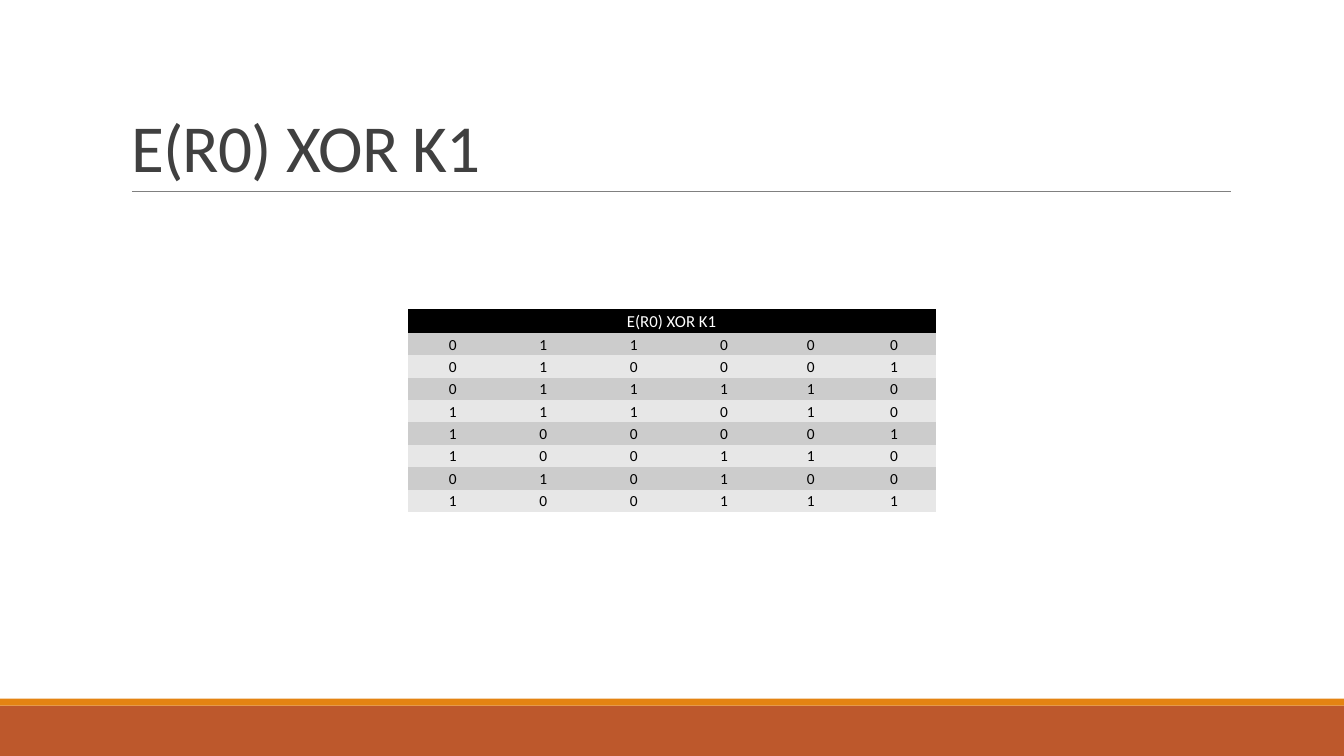
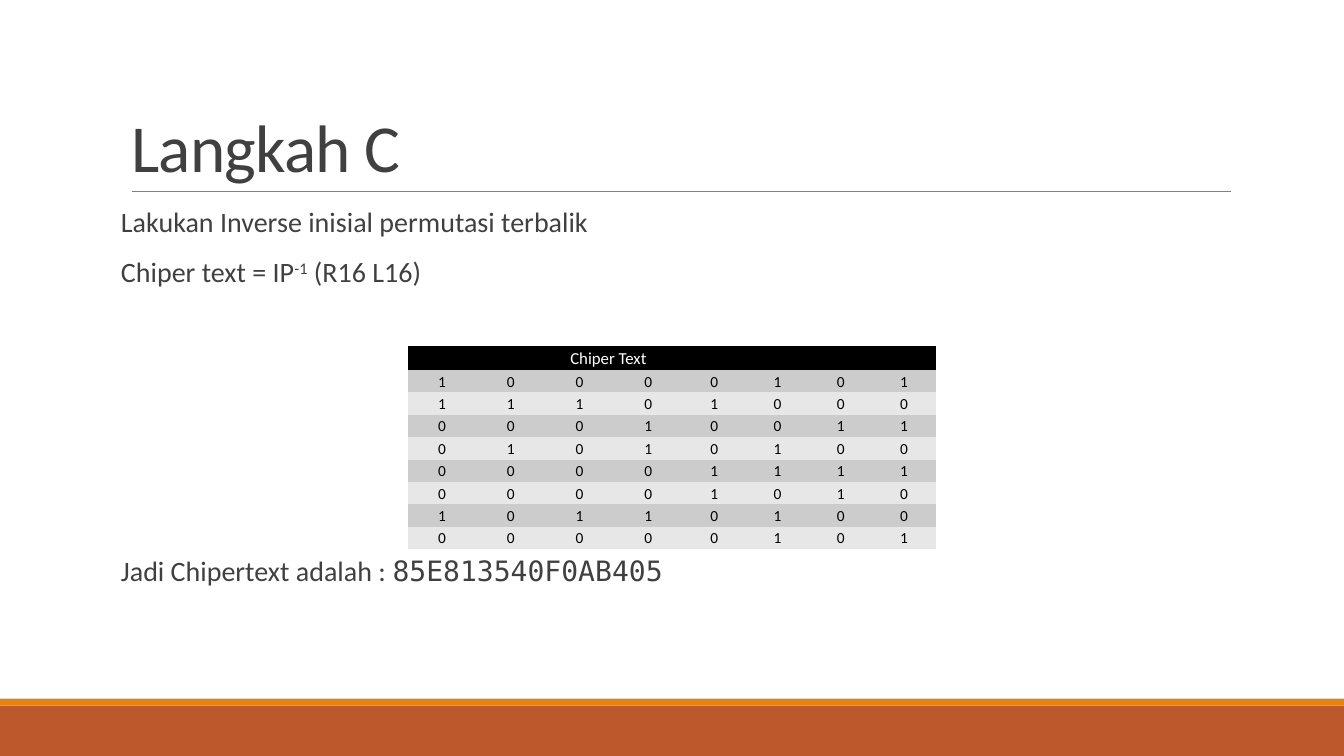
import dataclasses
import typing

import lxml.etree
import pptx
import pptx.dml.color
import pptx.enum.shapes
import pptx.enum.text
import pptx.oxml.ns
import pptx.util

Pt = pptx.util.Pt
qn = pptx.oxml.ns.qn
PP_ALIGN = pptx.enum.text.PP_ALIGN
MSO_ANCHOR = pptx.enum.text.MSO_ANCHOR
PP_PLACEHOLDER = pptx.enum.shapes.PP_PLACEHOLDER


@dataclasses.dataclass(frozen=True)
class Theme:
    font: str = "Calibri"
    mono: str = "DejaVu Sans Mono"
    text: str = "404040"
    rule: str = "808080"
    band: str = "BD582C"
    accent: str = "E48312"
    header_fill: str = "000000"
    header_text: str = "FFFFFF"
    cell_text: str = "000000"
    stripes: tuple[str, str] = ("CCCCCC", "E7E7E7")
    title_size: float = 48
    body_size: float = 20
    header_size: float = 12
    cell_size: float = 11


@dataclasses.dataclass(frozen=True)
class Box:
    left: float
    top: float
    width: float
    height: float


@dataclasses.dataclass(frozen=True)
class Span:
    text: str
    font: str
    baseline: int = 0


@dataclasses.dataclass(frozen=True)
class Line:
    spans: tuple[Span, ...]
    space_before: float = 12


@dataclasses.dataclass(frozen=True)
class BitTable:
    header: str
    header_span: int
    top: float
    widths: tuple[float, ...]
    rows: tuple[str, ...]


@dataclasses.dataclass(frozen=True)
class Page:
    title: str
    table: BitTable
    lines: tuple[Line, ...] = ()


THEME = Theme()
SLIDE = Box(0, 0, 960, 540)
TITLE = Box(86.4, 22.6, 792, 114.2)
BODY = Box(86.4, 145.4, 792, 316.8)
BANDS = (
    (Box(0, 504, SLIDE.width, 36), THEME.band),
    (Box(0, 499, SLIDE.width, 5), THEME.accent),
)
RULE = Box(94.3, 136.8, 784.8, 0)
TABLE_LEFT = 291.2
HEADER_HEIGHT = 17.1
ROW_HEIGHT = 16
CELL_MARGIN = 0.7
TITLE_ONLY, TITLE_AND_CONTENT = 5, 1

PAGES = (
    Page(
        "E(R0) XOR K1",
        BitTable(
            "E(R0) XOR K1", 6, 220.7, (64.6,) * 4 + (59.4,) * 2,
            ("011000", "010001", "011110", "111010",
             "100001", "100110", "010100", "100111"),
        ),
    ),
    Page(
        "Langkah C",
        BitTable(
            "Chiper Text", 6, 247.2, (49.1,) * 4 + (45.2,) * 4,
            ("10000101", "11101000", "00010011", "01010100",
             "00001111", "00001010", "10110100", "00000101"),
        ),
        (
            Line((Span("Lakukan Inverse inisial permutasi terbalik", THEME.font),)),
            Line((
                Span("Chiper text = IP", THEME.font),
                Span("-1", THEME.font, 30000),
                Span(" (R16 L16)", THEME.font),
            )),
            Line((
                Span("Jadi Chipertext adalah : ", THEME.font),
                Span("85E813540F0AB405", THEME.mono),
            ), space_before=190),
        ),
    ),
)


def rgb(color: str) -> pptx.dml.color.RGBColor:
    return pptx.dml.color.RGBColor.from_string(color)


def style_run(r: typing.Any, font: str, size: float, color: str) -> None:
    r.font.name = font
    r.font.size = Pt(size)
    r.font.color.rgb = rgb(color)


def place(sp: typing.Any, box: Box) -> None:
    sp.left, sp.top = Pt(box.left), Pt(box.top)
    sp.width, sp.height = Pt(box.width), Pt(box.height)


def set_up_master(prs: typing.Any, s: typing.Any) -> None:
    master = prs.slide_master
    for ph in master.placeholders:
        if ph.placeholder_format.type == PP_PLACEHOLDER.TITLE:
            place(ph, TITLE)
        elif ph.placeholder_format.type == PP_PLACEHOLDER.BODY:
            place(ph, BODY)

    decor = []
    for box, color in BANDS:
        sp = s.shapes.add_shape(pptx.enum.shapes.MSO_SHAPE.RECTANGLE, 0, 0, 0, 0)
        place(sp, box)
        sp.shadow.inherit = False
        sp.fill.solid()
        sp.fill.fore_color.rgb = rgb(color)
        sp.line.fill.background()
        decor.append(sp)

    rule = s.shapes.add_connector(
        pptx.enum.shapes.MSO_CONNECTOR.STRAIGHT,
        Pt(RULE.left), Pt(RULE.top), Pt(RULE.left + RULE.width), Pt(RULE.top),
    )
    rule.line.color.rgb = rgb(THEME.rule)
    rule.line.width = Pt(0.5)
    lxml.etree.SubElement(rule.element.spPr, qn("a:effectLst"))
    decor.append(rule)

    for number, sp in enumerate(decor, start=101):
        sp.element.xpath(".//p:cNvPr")[0].set("id", str(number))
        master.element.cSld.spTree.append(sp.element)


def write_title(s: typing.Any, title: str) -> None:
    tf = s.shapes.title.text_frame
    tf.text = title
    tf.auto_size = pptx.enum.text.MSO_AUTO_SIZE.NONE
    tf.vertical_anchor = MSO_ANCHOR.BOTTOM
    p = tf.paragraphs[0]
    p.alignment = PP_ALIGN.LEFT
    p.line_spacing = 0.85
    r = p.runs[0]
    style_run(r, THEME.font, THEME.title_size, THEME.text)
    r.font._element.set("spc", "-50")


def write_body(s: typing.Any, lines: tuple[Line, ...]) -> None:
    tf = s.placeholders[1].text_frame
    tf.auto_size = pptx.enum.text.MSO_AUTO_SIZE.NONE
    tf.margin_left = tf.margin_right = 0
    for i, line in enumerate(lines):
        p = tf.add_paragraph() if i else tf.paragraphs[0]
        p.line_spacing = 0.9
        p.space_before = Pt(line.space_before)
        p.space_after = Pt(2)
        pPr = p._p.get_or_add_pPr()
        pPr.set("marL", "0")
        pPr.set("indent", "0")
        lxml.etree.SubElement(pPr, qn("a:buNone"))
        for span in line.spans:
            r = p.add_run()
            r.text = span.text
            style_run(r, span.font, THEME.body_size, THEME.text)
            if span.baseline:
                r.font._element.set("baseline", str(span.baseline))


def fill_cell(cell: typing.Any, text: str, size: float, color: str, fill: str) -> None:
    cell.margin_left = cell.margin_right = Pt(CELL_MARGIN)
    cell.margin_top = cell.margin_bottom = Pt(CELL_MARGIN)
    cell.vertical_anchor = MSO_ANCHOR.MIDDLE
    cell.fill.solid()
    cell.fill.fore_color.rgb = rgb(fill)
    p = cell.text_frame.paragraphs[0]
    p.text = text
    p.alignment = PP_ALIGN.CENTER
    p.line_spacing = 1.07
    for r in p.runs:
        style_run(r, THEME.font, size, color)
    if not text:
        end = lxml.etree.SubElement(p._p, qn("a:endParaRPr"))
        end.set("sz", str(int(size * 100)))


def draw_table(s: typing.Any, spec_table: BitTable) -> None:
    columns = len(spec_table.widths)
    table = s.shapes.add_table(
        len(spec_table.rows) + 1, columns, Pt(TABLE_LEFT), Pt(spec_table.top),
        Pt(sum(spec_table.widths)),
        Pt(HEADER_HEIGHT + ROW_HEIGHT * len(spec_table.rows)),
    ).table
    style_id = table._tbl.tblPr.find(qn("a:tableStyleId"))
    style_id.text = "{2D5ABB26-0587-4C30-8999-92F81FD0307C}"
    table.horz_banding = False
    for column, width in zip(table.columns, spec_table.widths):
        column.width = Pt(width)
    for i, row in enumerate(table.rows):
        row.height = Pt(ROW_HEIGHT if i else HEADER_HEIGHT)

    for j in range(columns):
        fill_cell(table.cell(0, j), "" if j else spec_table.header,
                  THEME.header_size, THEME.header_text, THEME.header_fill)
    table.cell(0, 0).merge(table.cell(0, spec_table.header_span - 1))
    for i, bits in enumerate(spec_table.rows):
        for j, bit in enumerate(bits):
            fill_cell(table.cell(i + 1, j), bit, THEME.cell_size,
                      THEME.cell_text, THEME.stripes[i % 2])


def main() -> None:
    prs = pptx.Presentation()
    prs.slide_width, prs.slide_height = Pt(SLIDE.width), Pt(SLIDE.height)
    for i, page in enumerate(PAGES):
        layout = TITLE_AND_CONTENT if page.lines else TITLE_ONLY
        s = prs.slides.add_slide(prs.slide_layouts[layout])
        if i == 0:
            set_up_master(prs, s)
        write_title(s, page.title)
        if page.lines:
            write_body(s, page.lines)
        draw_table(s, page.table)
    prs.save("out.pptx")


main()
